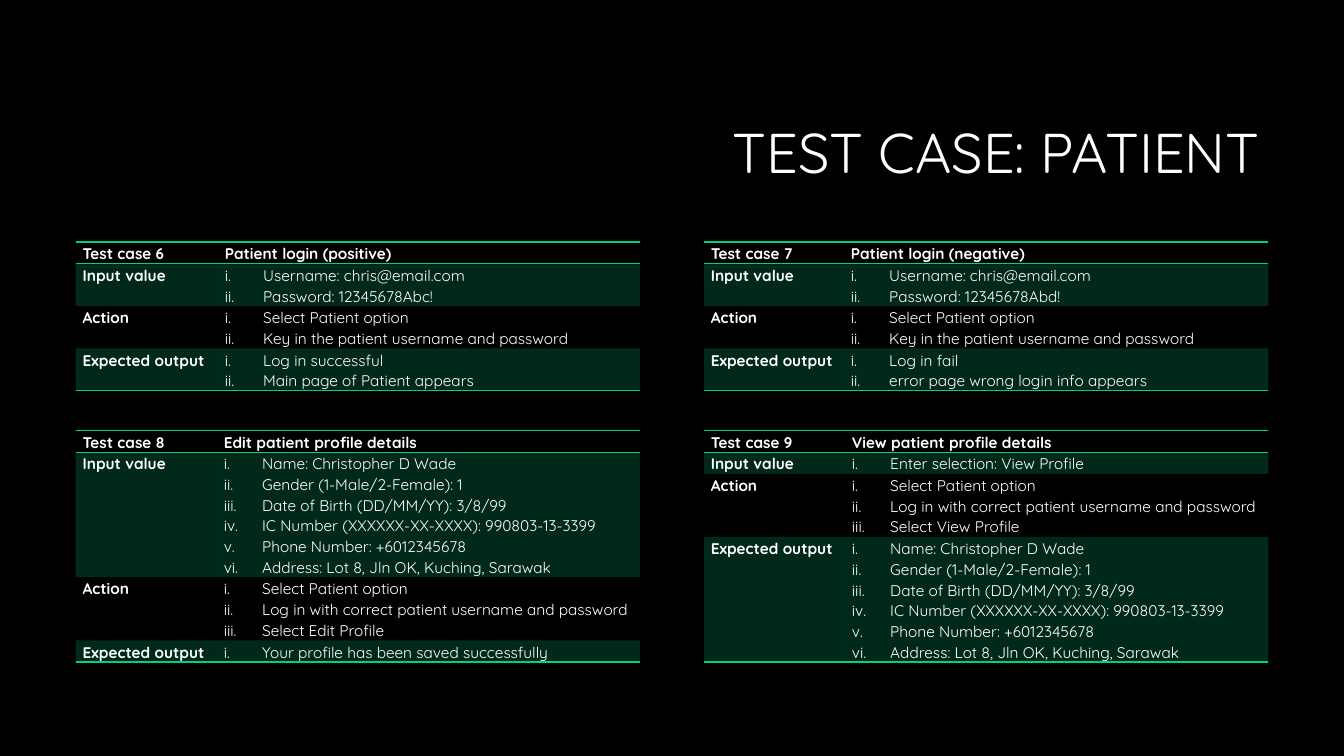
from lxml.etree import SubElement
from pptx import Presentation
from pptx.dml.color import RGBColor
from pptx.enum.text import MSO_ANCHOR, PP_ALIGN
from pptx.oxml.ns import qn
from pptx.util import Inches, Pt

COLORS = {"background": "000000", "text": "FFFFFF", "accent": "01D17D"}
FONT = "Quicksand"
NO_GRID_STYLE = "{2D5ABB26-0587-4C30-8999-92F81FD0307C}"
LINE_HEIGHT = 0.2

PROFILE = [
    "Name: Christopher D Wade",
    "Gender (1-Male/2-Female): 1",
    "Date of Birth (DD/MM/YY): 3/8/99",
    "IC Number (XXXXXX-XX-XXXX): 990803-13-3399",
    "Phone Number: +6012345678",
    "Address: Lot 8, Jln OK, Kuching, Sarawak",
]
USERNAME = "Username: chris@email.com"
SELECT_PATIENT = "Select Patient option"
LOGIN_ACTION = [SELECT_PATIENT, "Key in the patient username and password"]
PROFILE_ACTION = [SELECT_PATIENT, "Log in with correct patient username and password"]

LEFT, RIGHT = 0.75, 6.98
UPPER, LOWER = (2.4, 1.41), (4.27, 2.4)
TEST_CASES = [
    (RIGHT, UPPER, 1.39, "Test case 7", "Patient login (negative)",
     [USERNAME, "Password: 12345678Abd!"], LOGIN_ACTION,
     ["Log in fail", "error page wrong login info appears"]),
    (LEFT, UPPER, 1.41, "Test case 6", "Patient login (positive)",
     [USERNAME, "Password: 12345678Abc!"], LOGIN_ACTION,
     ["Log in successful", "Main page of Patient appears"]),
    (LEFT, LOWER, 1.4, "Test case 8", "Edit patient profile details",
     PROFILE, PROFILE_ACTION + ["Select Edit Profile"],
     ["Your profile has been saved successfully"]),
    (RIGHT, LOWER, 1.4, "Test case 9", "View patient profile details",
     ["Enter selection: View Profile"], PROFILE_ACTION + ["Select View Profile"], PROFILE),
]


def write_text(paragraph, text, size=11, bold=False, align=PP_ALIGN.LEFT,
               spacing=1.07, after=0, numbered=False):
    paragraph.alignment = align
    paragraph.line_spacing = spacing
    paragraph.space_before = Pt(0)
    paragraph.space_after = Pt(after)
    if numbered:
        properties = paragraph._p.get_or_add_pPr()
        properties.set("marL", str(Inches(0.38)))
        properties.set("indent", str(-Inches(0.38)))
        SubElement(properties, qn("a:buAutoNum"), type="romanLcPeriod")
    run = paragraph.add_run()
    run.text = text
    run.font.name = FONT
    run.font.size = Pt(size)
    run.font.bold = bold
    run.font.color.rgb = RGBColor.from_string(COLORS["text"])


class SlideBuilder:
    def __init__(self, presentation):
        self.slide = presentation.slides.add_slide(presentation.slide_layouts[5])
        fill = self.slide.background.fill
        fill.solid()
        fill.fore_color.rgb = RGBColor.from_string(COLORS["background"])

    def add_title(self, text, left, top, width, height):
        title = self.slide.shapes.title
        title.left, title.top = Inches(left), Inches(top)
        title.width, title.height = Inches(width), Inches(height)
        title.text_frame.vertical_anchor = MSO_ANCHOR.MIDDLE
        write_text(title.text_frame.paragraphs[0], text, size=40,
                   align=PP_ALIGN.RIGHT, spacing=0.9)

    def add_border(self, cell, side):
        line = SubElement(cell._tc.get_or_add_tcPr(), qn(f"a:{side}"), w=str(Pt(1)))
        SubElement(SubElement(line, qn("a:solidFill")), qn("a:srgbClr"), val=COLORS["accent"])

    def fill_cell(self, cell, banded):
        if not banded:
            cell.fill.background()
            return
        cell.fill.solid()
        cell.fill.fore_color.rgb = RGBColor.from_string(COLORS["accent"])
        color = cell._tc.tcPr.find(qn("a:solidFill")).find(qn("a:srgbClr"))
        SubElement(color, qn("a:alpha"), val="20000")

    def add_cell(self, cell, lines, borders, banded, bold, numbered):
        cell.margin_left = cell.margin_right = Inches(0.07)
        cell.margin_top, cell.margin_bottom = Inches(0.01), Inches(0)
        for side in borders:
            self.add_border(cell, side)
        self.fill_cell(cell, banded)
        for index, line in enumerate(lines):
            frame = cell.text_frame
            paragraph = frame.add_paragraph() if index else frame.paragraphs[0]
            write_text(paragraph, line, bold=bold, numbered=numbered,
                       after=8 if len(lines) == 1 else 0)

    def add_test_case(self, left, position, label_width, name, heading, inputs, actions, outputs):
        top, height = position
        rows = [(name, [heading]), ("Input value", inputs),
                ("Action", actions), ("Expected output", outputs)]
        shape = self.slide.shapes.add_table(
            len(rows), 2, Inches(left), Inches(top), Inches(5.6), Inches(height))
        table = shape.table
        table.first_row = table.horz_banding = False
        table._tbl.tblPr.find(qn("a:tableStyleId")).text = NO_GRID_STYLE
        table.columns[0].width = Inches(label_width)
        table.columns[1].width = Inches(5.6 - label_width)
        borders = {0: ("lnT", "lnB"), len(rows) - 1: ("lnB",)}
        for index, (label, lines) in enumerate(rows):
            table.rows[index].height = Inches(LINE_HEIGHT * len(lines))
            for column, content in enumerate(([label], lines)):
                numbered = index > 0 and column == 1
                self.add_cell(table.cell(index, column), content, borders.get(index, ()),
                              banded=index % 2 == 1 or index == len(rows) - 1 and False,
                              bold=not numbered, numbered=numbered) if index < 3 else \
                    self.add_cell(table.cell(index, column), content, borders[index],
                                  banded=True, bold=not numbered, numbered=numbered)
        shape.height = Inches(height)


def main():
    presentation = Presentation()
    presentation.slide_width, presentation.slide_height = Inches(13.33), Inches(7.5)
    builder = SlideBuilder(presentation)
    builder.add_title("TEST CASE: PATIENT", 3.17, 0.84, 9.42, 1.41)
    for test_case in TEST_CASES:
        builder.add_test_case(*test_case)
    presentation.save("out.pptx")


if __name__ == "__main__":
    main()
